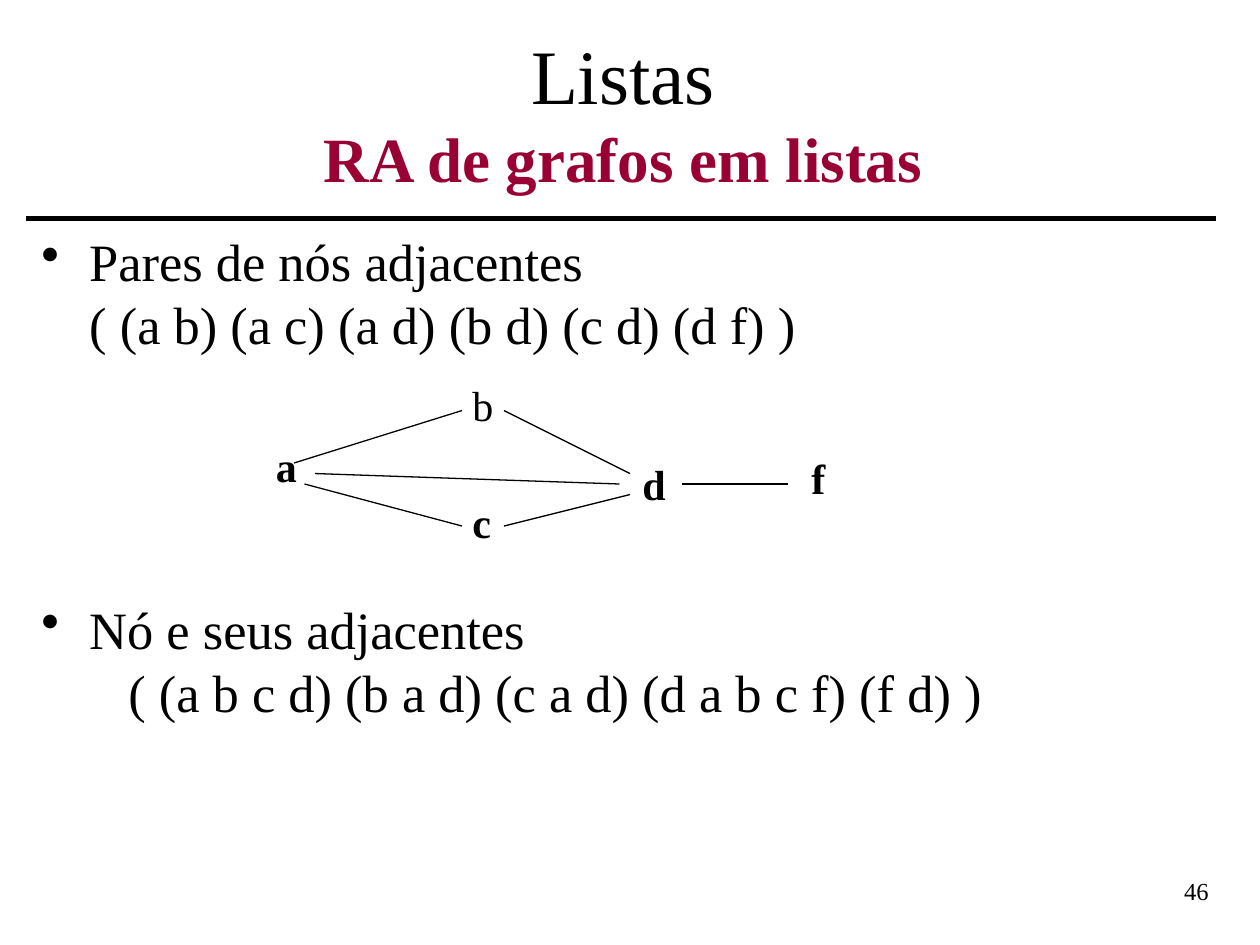
from typing import NamedTuple

from lxml.etree import SubElement
from pptx import Presentation
from pptx.dml.color import RGBColor
from pptx.enum.shapes import MSO_CONNECTOR
from pptx.enum.text import MSO_ANCHOR as Anchor, PP_ALIGN as Align
from pptx.oxml.ns import qn
from pptx.util import Emu, Inches, Pt

COLUMNS, ROWS = 120, 90


class Theme(NamedTuple):
    font: str = "Times New Roman"
    ink: RGBColor = RGBColor(0, 0, 0)
    accent: RGBColor = RGBColor(0x99, 0x00, 0x33)
    title: int = 44
    subtitle: int = 36
    body: int = 30
    node: int = 24
    number: int = 14
    rule: float = 3
    edge: float = 0.75


class Area(NamedTuple):
    column: float
    row: float
    columns: float
    rows: float


class Node(NamedTuple):
    label: str
    area: Area
    bold: bool = True


class Edge(NamedTuple):
    start: tuple[float, float]
    end: tuple[float, float]


class Topic(NamedTuple):
    lines: tuple[str, ...]
    indent: float
    space_before: float = 0


THEME = Theme()
HANGING = 0.38
BODY_LINE = 1.15 * THEME.body

HEADING = Area(2.64, 1.2, 113.4, 18.84)
CONTENT = Area(2.76, 21.24, 113.4, 61.44)
PAGE_NUMBER = Area(109.2, 82.8, 7.08, 5.64)
RULE = Edge((2.5, 20.8), (115.8, 20.8))

TOPICS = (
    Topic(("Pares de nós adjacentes", "( (a b) (a c) (a d) (b d) (c d) (d f) )"), HANGING),
    Topic(("Nó e seus adjacentes",), HANGING, 4 * BODY_LINE),
    Topic(("( (a b c d) (b a d) (c a d) (d a b c f) (f d) )",), 0.69),
)
NODES = (
    Node("a", Area(25.1, 41.4, 4.3, 6)),
    Node("b", Area(43.8, 35.6, 4.3, 6), bold=False),
    Node("c", Area(43.8, 46.7, 4.3, 6)),
    Node("d", Area(60, 43.1, 4.3, 6)),
    Node("f", Area(76.1, 42.5, 3.7, 6)),
)
EDGES = (
    Edge((28, 44.1), (44, 39.1)),
    Edge((29, 46.1), (44, 50.1)),
    Edge((48, 39.1), (60, 45.1)),
    Edge((48, 50.1), (60, 47.1)),
    Edge((30, 45.1), (59, 46.1)),
    Edge((65, 46.1), (75, 46.1)),
)

deck = Presentation()
deck.slide_width, deck.slide_height = Inches(10), Inches(7.5)
slide = deck.slides.add_slide(deck.slide_layouts[6])


def across(columns: float) -> Emu:
    return Emu(round(deck.slide_width * columns / COLUMNS))


def down(rows: float) -> Emu:
    return Emu(round(deck.slide_height * rows / ROWS))


def add_text_frame(area: Area, wrap: bool = True, anchor=Anchor.TOP):
    box = slide.shapes.add_textbox(across(area.column), down(area.row),
                                   across(area.columns), down(area.rows))
    for name, value in {"word_wrap": wrap, "vertical_anchor": anchor}.items():
        setattr(box.text_frame, name, value)
    return box.text_frame


def add_words(paragraph, words: str, size: float, color: RGBColor = THEME.ink,
              bold: bool = False) -> None:
    run = paragraph.add_run()
    run.text = words
    for name, value in {"name": THEME.font, "size": Pt(size), "bold": bold}.items():
        setattr(run.font, name, value)
    run.font.color.rgb = color


def draw_line(edge: Edge, width: float) -> None:
    line = slide.shapes.add_connector(
        MSO_CONNECTOR.STRAIGHT, across(edge.start[0]), down(edge.start[1]),
        across(edge.end[0]), down(edge.end[1]))
    line.line.color.rgb = THEME.ink
    line.line.width = Pt(width)
    SubElement(line._element.spPr, qn("a:effectLst"))


def draw_heading() -> None:
    paragraph = add_text_frame(HEADING, anchor=Anchor.MIDDLE).paragraphs[0]
    paragraph.alignment = Align.CENTER
    add_words(paragraph, "Listas", THEME.title)
    paragraph.add_line_break()
    add_words(paragraph, "RA de grafos em listas", THEME.subtitle, THEME.accent, True)


def draw_topics(topics: tuple[Topic, ...]) -> None:
    """Topics at the hanging indent get a bullet; deeper ones continue the topic above."""
    frame = add_text_frame(CONTENT)
    for index, topic in enumerate(topics):
        paragraph = frame.add_paragraph() if index else frame.paragraphs[0]
        properties = paragraph._p.get_or_add_pPr()
        properties.set("marL", str(Inches(topic.indent)))
        if topic.indent == HANGING:
            properties.set("indent", str(-Inches(HANGING)))
            SubElement(properties, qn("a:buChar"), char="•")
        if topic.space_before:
            paragraph.space_before = Pt(topic.space_before)
        for number, words in enumerate(topic.lines):
            if number:
                paragraph.add_line_break()
            add_words(paragraph, words, THEME.body)
        paragraph.font.size = Pt(THEME.body)
        for line_break in paragraph._p.findall(qn("a:br")):
            SubElement(line_break, qn("a:rPr"), sz=str(THEME.body * 100))


def draw_node(node: Node) -> None:
    paragraph = add_text_frame(node.area, wrap=False).paragraphs[0]
    add_words(paragraph, node.label, THEME.node, bold=node.bold)


def draw_page_number() -> None:
    paragraph = add_text_frame(PAGE_NUMBER).paragraphs[0]
    paragraph.alignment = Align.RIGHT
    add_words(paragraph, "46", THEME.number)


def main() -> None:
    draw_line(RULE, THEME.rule)
    draw_page_number()
    draw_topics(TOPICS)
    for node in NODES:
        draw_node(node)
    for edge in EDGES:
        draw_line(edge, THEME.edge)
    draw_heading()
    deck.save("out.pptx")


if __name__ == "__main__":
    main()
